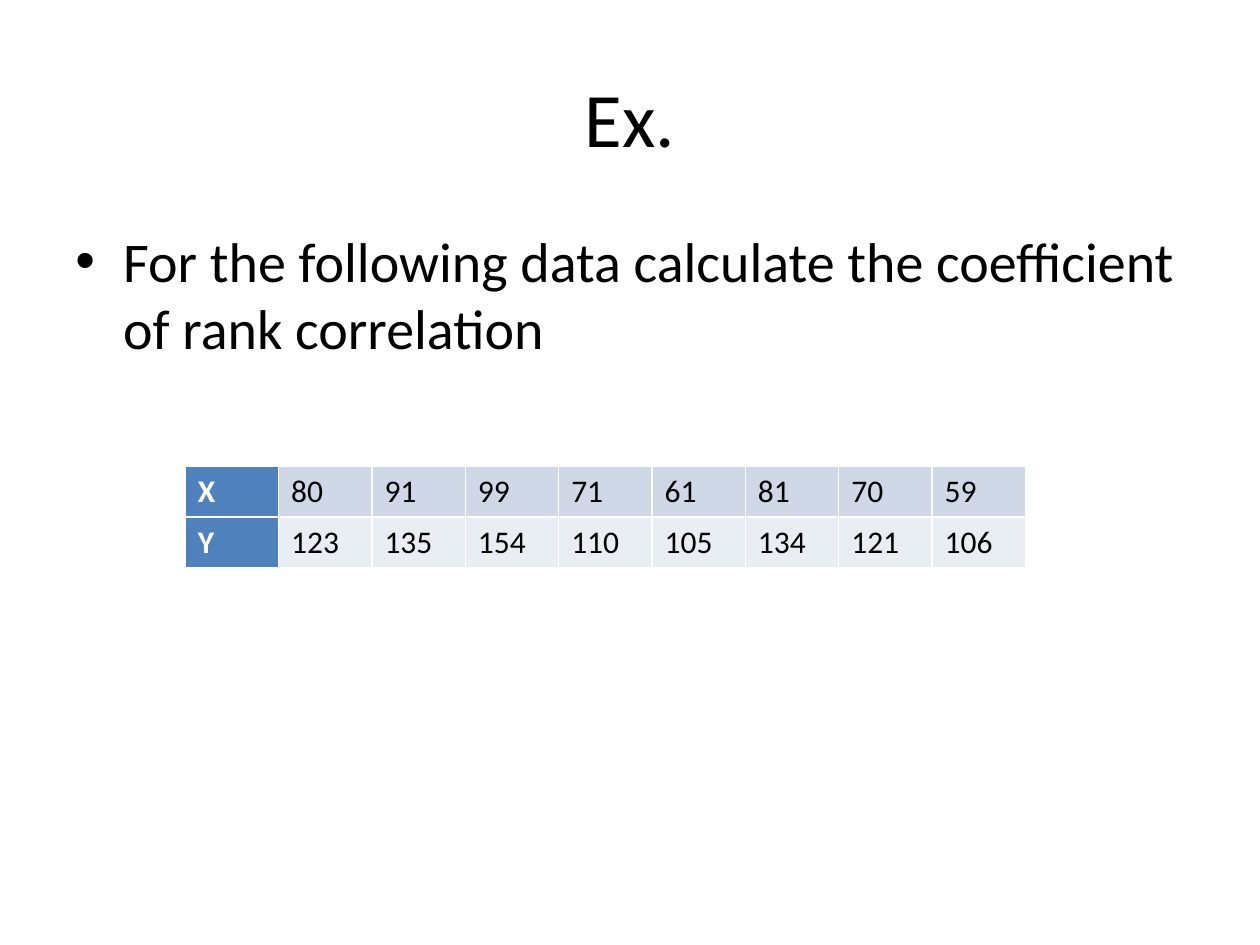
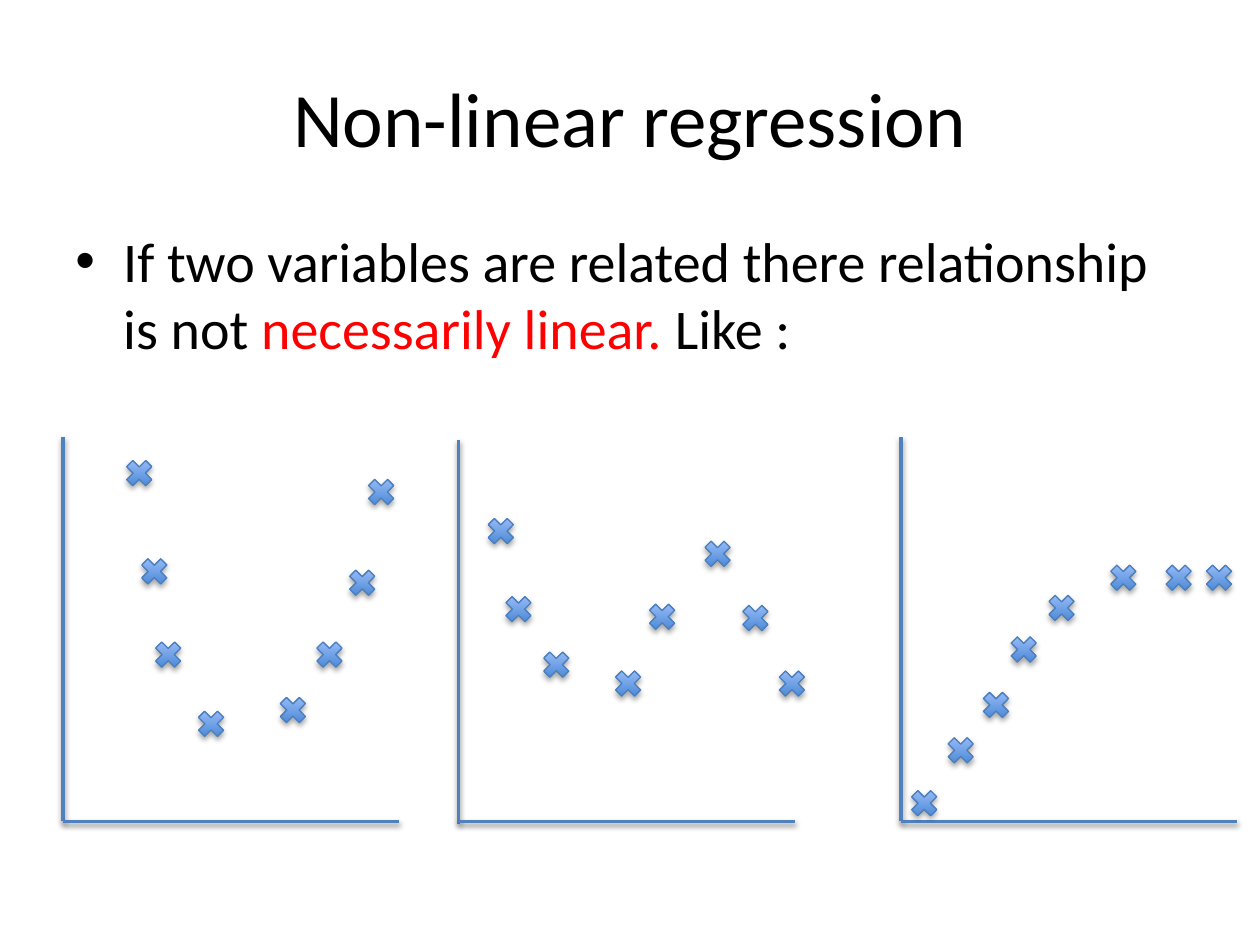
from dataclasses import dataclass
from typing import Any

from lxml import etree
from pptx import Presentation
from pptx.dml.color import RGBColor
from pptx.enum import shapes, text
from pptx.oxml import ns
from pptx.util import Inches, Pt

FONT = "Calibri"
BLACK = RGBColor(0x00, 0x00, 0x00)
WHITE = RGBColor(0xFF, 0xFF, 0xFF)
RED = RGBColor(0xFF, 0x00, 0x00)
BLUE = RGBColor(0x4F, 0x81, 0xBD)
MARK_EDGE = RGBColor(0x4B, 0x7E, 0xBC)
MARK_DARK = RGBColor(0x3F, 0x80, 0xCE)
MARK_LIGHT = RGBColor(0xA4, 0xC4, 0xFF)
BAND_COLOURS = (RGBColor(0xD0, 0xD8, 0xE8), RGBColor(0xE9, 0xED, 0xF4))

MARK_SIZE = 0.29
AXIS_HEIGHT = 3.05
AXIS_WIDTH = 2.67
BASELINE = 6.52


@dataclass(frozen=True)
class Span:
    words: str
    colour: RGBColor = BLACK


@dataclass(frozen=True)
class ScatterPlot:
    left: float
    top: float
    marks: tuple[tuple[float, float], ...]


RANK_DATA = (
    ("X", 80, 91, 99, 71, 61, 81, 70, 59),
    ("Y", 123, 135, 154, 110, 105, 134, 121, 106),
)

PLOTS = (
    ScatterPlot(0.5, 3.47, (
        (0.96, 3.61), (1.08, 4.39), (1.19, 5.05), (1.53, 5.6),
        (2.18, 5.49), (2.47, 5.05), (2.73, 4.48), (2.88, 3.76),
    )),
    ScatterPlot(3.64, 3.49, (
        (3.83, 4.07), (3.97, 4.69), (4.27, 5.13), (4.84, 5.28),
        (5.11, 4.75), (5.55, 4.25), (5.85, 4.76), (6.14, 5.28),
    )),
    ScatterPlot(7.15, 3.47, (
        (7.19, 6.23), (7.48, 5.81), (7.76, 5.45), (7.98, 5.01),
        (8.28, 4.68), (8.77, 4.44), (9.21, 4.44), (9.53, 4.44),
    )),
)


def add_child(parent: Any, tag: str, **attributes: str) -> Any:
    return etree.SubElement(parent, ns.qn(tag), attributes)


def add_span(para: Any, span: Span, size: float, bold: bool = False) -> None:
    run = para.add_run()
    run.text = span.words
    run.font.name = FONT
    run.font.size = Pt(size)
    run.font.bold = bold
    run.font.color.rgb = span.colour


def add_text_frame(page: Any, top: float, height: float) -> Any:
    box = page.shapes.add_textbox(Inches(0.5), Inches(top), Inches(9), Inches(height))
    box.text_frame.word_wrap = True
    return box.text_frame


def add_page(deck: Any, title: str, *bullet: Span) -> Any:
    page = deck.slides.add_slide(deck.slide_layouts[6])
    page.background.fill.solid()
    page.background.fill.fore_color.rgb = WHITE

    heading = add_text_frame(page, 0.3, 1.25)
    heading.vertical_anchor = text.MSO_ANCHOR.MIDDLE
    heading.paragraphs[0].alignment = text.PP_ALIGN.CENTER
    add_span(heading.paragraphs[0], Span(title), 44)

    para = add_text_frame(page, 1.75, 4.95).paragraphs[0]
    properties = para._p.get_or_add_pPr()
    properties.set("marL", str(Inches(0.38)))
    properties.set("indent", str(-Inches(0.38)))
    add_child(add_child(properties, "a:spcBef"), "a:spcPct", val="20000")
    add_child(properties, "a:buFont", typeface="Arial")
    add_child(properties, "a:buChar", char="•")
    for span in bullet:
        add_span(para, span, 32)
    return page


def add_borders(cell: Any) -> None:
    properties = cell._tc.get_or_add_tcPr()
    for side in ("lnL", "lnR", "lnT", "lnB"):
        line = add_child(properties, f"a:{side}", w=str(Pt(1)))
        add_child(add_child(line, "a:solidFill"), "a:srgbClr", val=str(WHITE))


def add_rank_table(page: Any) -> None:
    table = page.shapes.add_table(
        len(RANK_DATA), len(RANK_DATA[0]),
        Inches(1.47), Inches(3.7), Inches(6.67), Inches(0.81),
    ).table
    table.first_row = False
    table.horz_banding = False
    table.first_col = True
    for row, (values, band) in enumerate(zip(RANK_DATA, BAND_COLOURS)):
        for column, value in enumerate(values):
            is_label = column == 0
            cell = table.cell(row, column)
            add_borders(cell)
            cell.fill.solid()
            cell.fill.fore_color.rgb = BLUE if is_label else band
            span = Span(str(value), WHITE if is_label else BLACK)
            add_span(cell.text_frame.paragraphs[0], span, 18, is_label)


def add_shadow(shape: Any, distance: float, opacity: int) -> None:
    effects = add_child(shape._element.spPr, "a:effectLst")
    shadow = add_child(
        effects, "a:outerShdw", blurRad=str(Pt(3.1)), dist=str(Pt(distance)),
        dir="5400000", rotWithShape="0",
    )
    colour = add_child(shadow, "a:srgbClr", val=str(BLACK))
    add_child(colour, "a:alpha", val=str(opacity * 1000))


def add_axis(group: Any, left: float, top: float, right: float, bottom: float) -> None:
    axis = group.shapes.add_connector(
        shapes.MSO_CONNECTOR.STRAIGHT,
        Inches(left), Inches(top), Inches(right), Inches(bottom),
    )
    axis.line.color.rgb = BLUE
    axis.line.width = Pt(2)
    add_shadow(axis, 1.6, 38)


def add_mark(group: Any, left: float, top: float) -> None:
    mark = group.shapes.add_shape(
        shapes.MSO_SHAPE.MATH_MULTIPLY,
        Inches(left), Inches(top), Inches(MARK_SIZE), Inches(MARK_SIZE),
    )
    mark.fill.gradient()
    mark.fill.gradient_angle = 90
    for stop, colour in zip(mark.fill.gradient_stops, (MARK_DARK, MARK_LIGHT)):
        stop.color.rgb = colour
    mark.line.color.rgb = MARK_EDGE
    mark.line.width = Pt(0.75)
    add_shadow(mark, 1.8, 35)


def add_plot(page: Any, plot: ScatterPlot) -> None:
    group = page.shapes.add_group_shape()
    add_axis(group, plot.left, plot.top, plot.left, plot.top + AXIS_HEIGHT)
    add_axis(group, plot.left, BASELINE, plot.left + AXIS_WIDTH, BASELINE)
    for left, top in plot.marks:
        add_mark(group, left, top)


def main() -> None:
    deck = Presentation()
    deck.slide_width = Inches(10)
    deck.slide_height = Inches(7.5)

    example = add_page(
        deck, "Ex.",
        Span("For the following data calculate the coefficient of rank correlation"),
    )
    add_rank_table(example)

    regression = add_page(
        deck, "Non-linear regression",
        Span("If two variables are related there relationship is not "),
        Span("necessarily linear. ", RED),
        Span("Like :"),
    )
    for plot in PLOTS:
        add_plot(regression, plot)

    deck.save("out.pptx")


if __name__ == "__main__":
    main()
